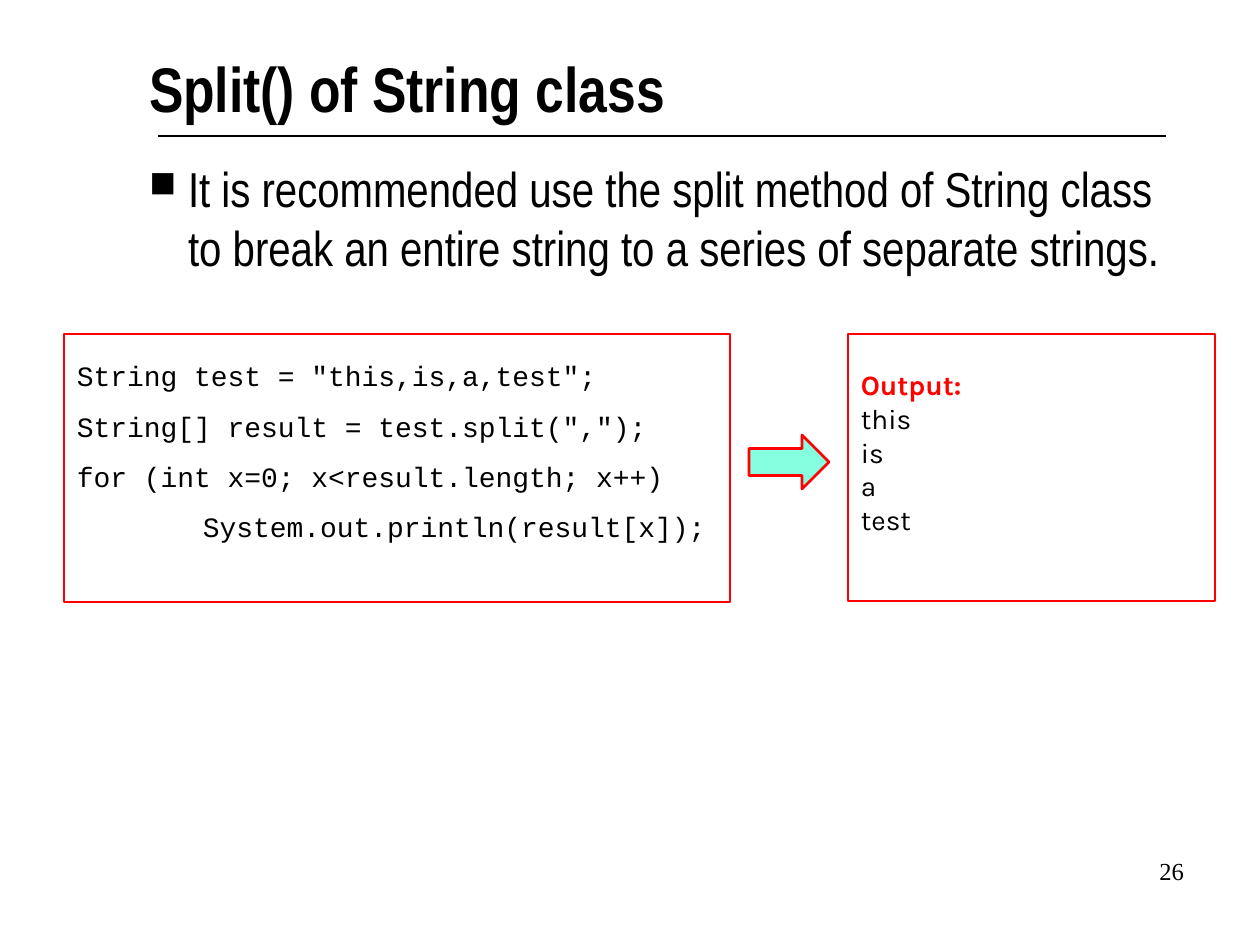
import pptx
import pptx.util
import pptx.dml.color
import pptx.enum.shapes
import pptx.enum.text
import pptx.oxml
import pptx.oxml.ns
from dataclasses import dataclass

SCALE = 914400 / 126
SHAPE = pptx.enum.shapes.MSO_SHAPE
ALIGN = pptx.enum.text.PP_ALIGN


def px(*nums):
    return [pptx.util.Emu(round(num * SCALE)) for num in nums]


def rgb(code):
    return pptx.dml.color.RGBColor.from_string(code)


def assign(item, values):
    for name, value in values.items():
        setattr(item, name, value)


@dataclass
class Theme:
    ink: str = "000000"
    red: str = "FF0000"
    mint: str = "85FFE0"
    thin: float = 0.75
    edge: float = 1.5
    head: int = 36
    body: int = 28
    code: int = 16
    foot: int = 14
    sans: str = "Arial Narrow"
    mono: str = "Courier New"
    note: str = "Karla"
    serif: str = "Times New Roman"


class Painter:
    def __init__(self, slide, theme):
        self.slide = slide
        self.theme = theme

    def fill_in(self, frame, lines, font, pads=(0, 0, 0, 0), form=None, marks=""):
        left, top, right, low = px(*pads)
        assign(frame, {
            "margin_left": left, "margin_top": top,
            "margin_right": right, "margin_bottom": low,
            "word_wrap": True,
            "vertical_anchor": pptx.enum.text.MSO_ANCHOR.TOP,
        })
        for num, line in enumerate(lines):
            para = frame.paragraphs[0] if num == 0 else frame.add_paragraph()
            para.text = line
            if marks:
                self.mark(para, marks)
            assign(para, {"alignment": ALIGN.LEFT, **(form or {})})
            assign(para.font, font)
            para.font.color.rgb = rgb(self.theme.ink)

    def mark(self, para, marks):
        props = para._p.get_or_add_pPr()
        space = pptx.oxml.ns.nsdecls("a")
        root = pptx.oxml.parse_xml(f"<a:pPr {space}>{marks}</a:pPr>")
        for item in list(root):
            props.append(item)

    def bullet(self, box, text, font, indent):
        marks = (f'<a:buClr><a:srgbClr val="{self.theme.ink}"/></a:buClr>'
                 '<a:buSzPct val="75000"/><a:buChar char="■"/>')
        frame = self.text(box, [text], font, marks=marks)
        step = px(indent)[0]
        props = frame.paragraphs[0]._p.get_or_add_pPr()
        props.set("marL", str(step))
        props.set("indent", str(-step))

    def text(self, box, lines, font, **rest):
        frame = self.slide.shapes.add_textbox(*px(*box)).text_frame
        self.fill_in(frame, lines, font, **rest)
        return frame

    def shape(self, kind, box, fill=None):
        shape = self.slide.shapes.add_shape(kind, *px(*box))
        shape.shadow.inherit = False
        if fill:
            shape.fill.solid()
            shape.fill.fore_color.rgb = rgb(fill)
        else:
            shape.fill.background()
        shape.line.color.rgb = rgb(self.theme.red)
        shape.line.width = pptx.util.Pt(self.theme.edge)
        return shape

    def panel(self, box, lines, font, **rest):
        frame = self.shape(SHAPE.RECTANGLE, box).text_frame
        self.fill_in(frame, lines, font, **rest)
        return frame

    def rule(self, left, right, top):
        line = self.slide.shapes.add_connector(
            pptx.enum.shapes.MSO_CONNECTOR.STRAIGHT, *px(left, top, right, top))
        line.line.color.rgb = rgb(self.theme.ink)
        line.line.width = pptx.util.Pt(self.theme.thin)
        props = line._element.spPr
        props.append(pptx.oxml.parse_xml(
            f'<a:effectLst {pptx.oxml.ns.nsdecls("a")}/>'))


def main():
    deck = pptx.Presentation()
    deck.slide_width, deck.slide_height = px(1260, 945)
    theme = Theme()
    pen = Painter(deck.slides.add_slide(deck.slide_layouts[6]), theme)

    def font(name, size, bold=False):
        return {"name": name, "size": pptx.util.Pt(size), "bold": bold}

    pen.rule(158, 1166, 136)
    pen.text((149, 49, 964, 94), ["Split() of String class"],
             font(theme.sans, theme.head, True))
    pen.bullet((149, 159, 1040, 662),
               "It is recommended use the split method of String class "
               "to break an entire string to a series of separate strings.",
               font(theme.sans, theme.body), 39)
    pen.text((935, 850, 262, 63), ["26"], font(theme.serif, theme.foot),
             pads=(13, 6, 13, 6), form={"alignment": ALIGN.RIGHT})

    code = [
        'String test = "this,is,a,test";',
        'String[] result = test.split(",");',
        "for (int x=0; x<result.length; x++)",
        "\tSystem.out.println(result[x]);",
    ]
    tabs = f'<a:tabLst><a:tab pos="{px(126)[0]}" algn="l"/></a:tabLst>'
    pen.panel((64, 334, 666, 268), code, font(theme.mono, theme.code),
              pads=(13, 8, 6, 6), form={"line_spacing": 1.5}, marks=tabs)

    frame = pen.panel((848, 334, 367, 267),
                      ["Output:", "this", "is", "a", "test"],
                      font(theme.note, theme.code), pads=(13, 34, 13, 6))
    label = frame.paragraphs[0].font
    label.bold = True
    label.color.rgb = rgb(theme.red)

    pen.shape(SHAPE.RIGHT_ARROW, (749, 435, 80, 54), theme.mint)
    deck.save("out.pptx")


if __name__ == "__main__":
    main()
